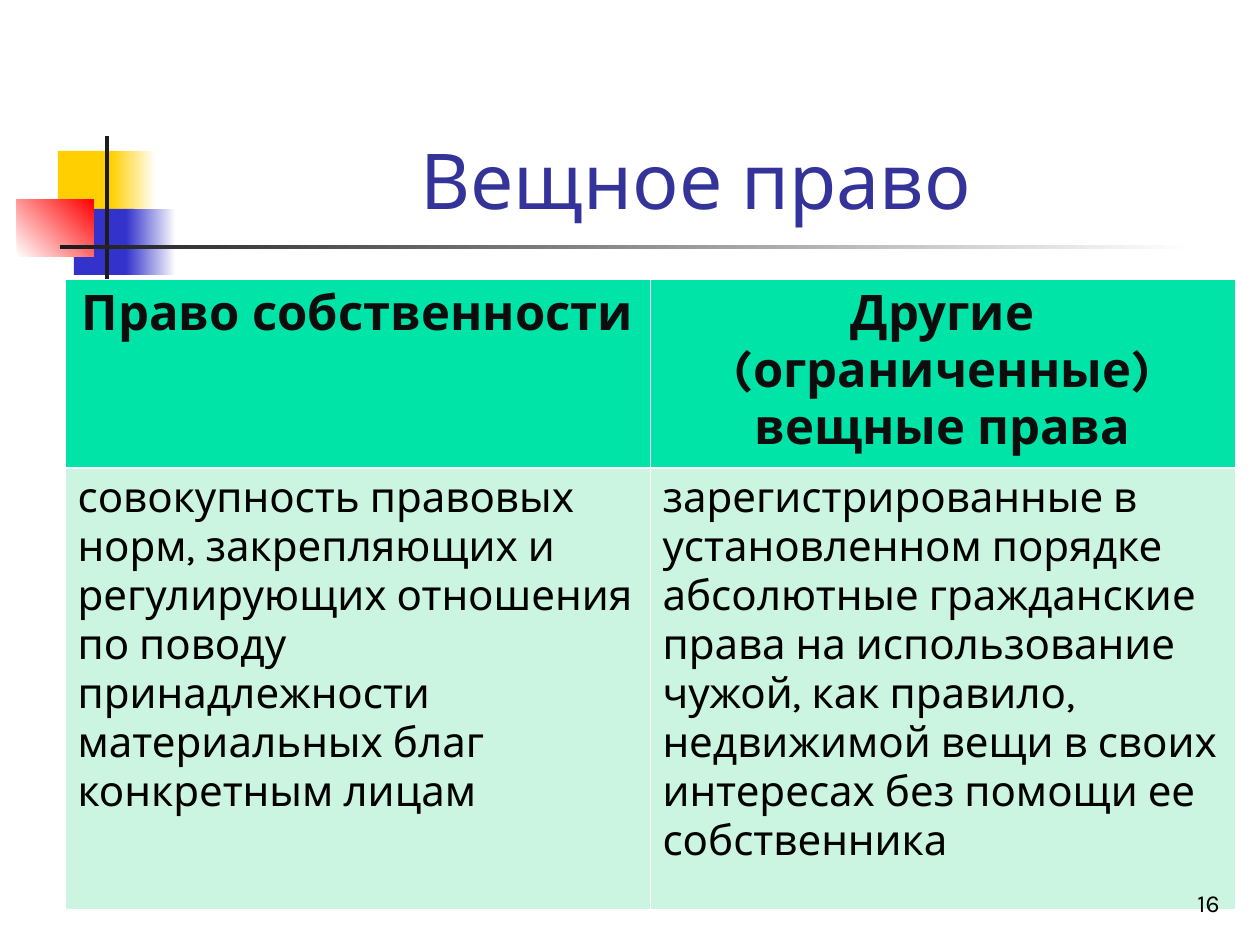
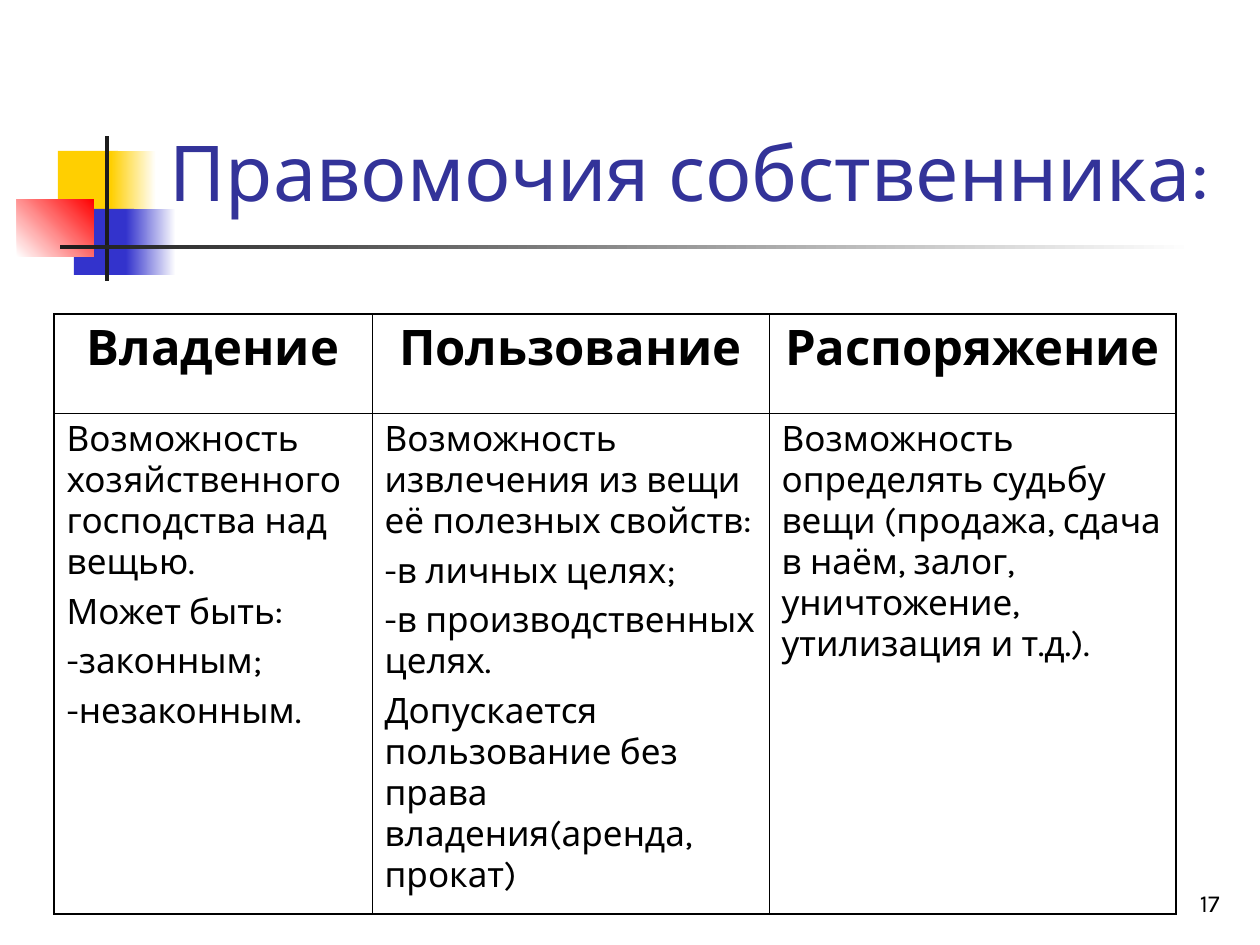
from dataclasses import dataclass

from lxml.etree import SubElement
from pptx import Presentation
from pptx.dml.color import RGBColor
from pptx.enum.shapes import MSO_SHAPE
from pptx.enum.text import MSO_ANCHOR, PP_ALIGN
from pptx.oxml.ns import qn
from pptx.util import Emu, Pt

PX_PER_INCH = 126


def px(length):
    return Emu(round(length * 914400 / PX_PER_INCH))


@dataclass(frozen=True)
class Theme:
    font: str = "Karla"
    title: str = "333399"
    text: str = "000000"
    header_text: str = "0D0D0D"
    header_fill: str = "00E4A8"
    body_fill: str = "CBF5E1"
    yellow: str = "FFCF01"
    blue: str = "3333CC"
    red: str = "FF0000"
    dark: str = "1C1C1C"
    white: str = "FFFFFF"
    title_size: int = 44
    header_size: int = 28
    large_size: int = 24
    body_size: int = 20
    number_size: int = 14


THEME = Theme()


def write_text(frame, text, size, color, bold=False, align=PP_ALIGN.LEFT, space=0):
    """Put one paragraph per line of text into the frame."""
    frame.word_wrap = True
    for index, line in enumerate(text.split("\n")):
        paragraph = frame.add_paragraph() if index else frame.paragraphs[0]
        paragraph.text = line
        paragraph.alignment = align
        paragraph.space_before = Pt(space if index else 0)
        font = paragraph.font
        font.name, font.size, font.bold = THEME.font, Pt(size), bold
        font.color.rgb = RGBColor.from_string(color)


def set_border(cell, side, width, color):
    line = SubElement(cell._tc.get_or_add_tcPr(), qn(f"a:ln{side}"), w=str(Pt(width)))
    fill = SubElement(line, qn("a:solidFill"))
    SubElement(fill, qn("a:srgbClr"), val=color)


class Deck:
    def __init__(self, theme):
        self.theme = theme
        self.presentation = Presentation()
        self.presentation.slide_width = px(1260)
        self.presentation.slide_height = px(945)
        self.slide = None

    def new_slide(self):
        self.slide = self.presentation.slides.add_slide(self.presentation.slide_layouts[6])
        self.emblem()

    def block(self, left, top, width, height, color, fade_to=None, angle=0):
        shape = self.slide.shapes.add_shape(
            MSO_SHAPE.RECTANGLE, px(left), px(top), px(width), px(height))
        shape.shadow.inherit = False
        shape.line.fill.background()
        if fade_to is None:
            shape.fill.solid()
            shape.fill.fore_color.rgb = RGBColor.from_string(color)
            return
        shape.fill.gradient()
        shape.fill.gradient_angle = angle
        for position, (stop, value) in enumerate(
                zip(shape.fill.gradient_stops, (color, fade_to))):
            stop.position = position
            stop.color.rgb = RGBColor.from_string(value)

    def emblem(self):
        theme = self.theme
        # Coloured squares, each fading to the right
        for left, fade_left, fade_width, top, color in (
                (58, 111, 45, 151, theme.yellow), (74, 126, 50, 209, theme.blue)):
            self.block(left, top, 60, 66, color)
            self.block(fade_left, top, fade_width, 66, color, theme.white)
        self.block(17, 199, 77, 58, theme.white, theme.red, angle=45)
        # Crossing rules
        self.block(105, 136, 4, 145, theme.dark)
        self.block(60, 245, 1134, 4, theme.dark, theme.white)

    def text_box(self, left, top, width, height, text, **style):
        box = self.slide.shapes.add_textbox(px(left), px(top), px(width), px(height))
        box.text_frame.vertical_anchor = MSO_ANCHOR.BOTTOM
        write_text(box.text_frame, text, **style)

    def title(self, left, top, width, height, text):
        self.text_box(left, top, width, height, text, size=self.theme.title_size,
                      color=self.theme.title, align=PP_ALIGN.CENTER)

    def number(self, value):
        self.text_box(970, 861, 262, 63, str(value), size=self.theme.number_size,
                      color=self.theme.text, align=PP_ALIGN.RIGHT)

    def table(self, left, top, widths, heights, rows, styles, fills,
              border, row_rules, column_rules):
        """Styles and fills go by row; rules are line widths by grid line."""
        table = self.slide.shapes.add_table(
            len(heights), len(widths), px(left), px(top),
            px(sum(widths)), px(sum(heights))).table
        table.first_row = table.horz_banding = False
        for column, width in zip(table.columns, widths):
            column.width = px(width)
        for y, (row, height) in enumerate(zip(table.rows, heights)):
            row.height = px(height)
            for x, cell in enumerate(row.cells):
                write_text(cell.text_frame, rows[y][x], **styles[y])
                for side, rule in (("L", column_rules[x]), ("R", column_rules[x + 1]),
                                   ("T", row_rules[y]), ("B", row_rules[y + 1])):
                    set_border(cell, side, rule, border)
                if fills[y]:
                    cell.fill.solid()
                    cell.fill.fore_color.rgb = RGBColor.from_string(fills[y])
                else:
                    cell.fill.background()


def property_law(deck):
    theme = deck.theme
    deck.new_slide()
    deck.title(159, 29, 1074, 202, "Вещное право")
    deck.table(
        65, 279, [585, 585], [189, 441],
        rows=[
            ["Право собственности", "Другие (ограниченные) вещные права"],
            ["совокупность правовых норм, закрепляющих и регулирующих отношения "
             "по поводу принадлежности материальных благ конкретным лицам",
             "зарегистрированные в установленном порядке абсолютные гражданские права "
             "на использование чужой, как правило, недвижимой вещи в своих интересах "
             "без помощи ее собственника"],
        ],
        styles=[dict(size=theme.header_size, color=theme.header_text, bold=True,
                     align=PP_ALIGN.CENTER),
                dict(size=theme.large_size, color=theme.text)],
        fills=[theme.header_fill, theme.body_fill], border=theme.white,
        row_rules=[0.45, 1.47, 0.45], column_rules=[0.45] * 3)
    deck.number(16)


def owner_powers(deck):
    theme = deck.theme
    deck.new_slide()
    deck.number(17)
    deck.title(154, 66, 1071, 157, "Правомочия собственника:")
    deck.table(
        54, 314, [318, 397, 407], [99, 501],
        rows=[
            ["Владение", "Пользование", "Распоряжение"],
            ["Возможность хозяйственного господства над вещью.\n"
             "Может быть:\n-законным;\n-незаконным.",
             "Возможность извлечения из вещи её полезных свойств:\n"
             "-в личных целях;\n-в производственных целях.\n"
             "Допускается пользование без права владения(аренда, прокат)",
             "Возможность определять судьбу вещи (продажа, сдача в наём, залог, "
             "уничтожение, утилизация и т.д.)."],
        ],
        styles=[dict(size=theme.header_size, color=theme.text, bold=True,
                     align=PP_ALIGN.CENTER),
                dict(size=theme.body_size, color=theme.text, space=5)],
        fills=[None, None], border=theme.text,
        row_rules=[1.08, 0.45, 1.08], column_rules=[1.08, 0.45, 0.45, 1.08])


def main():
    deck = Deck(THEME)
    property_law(deck)
    owner_powers(deck)
    deck.presentation.save("out.pptx")


if __name__ == "__main__":
    main()
